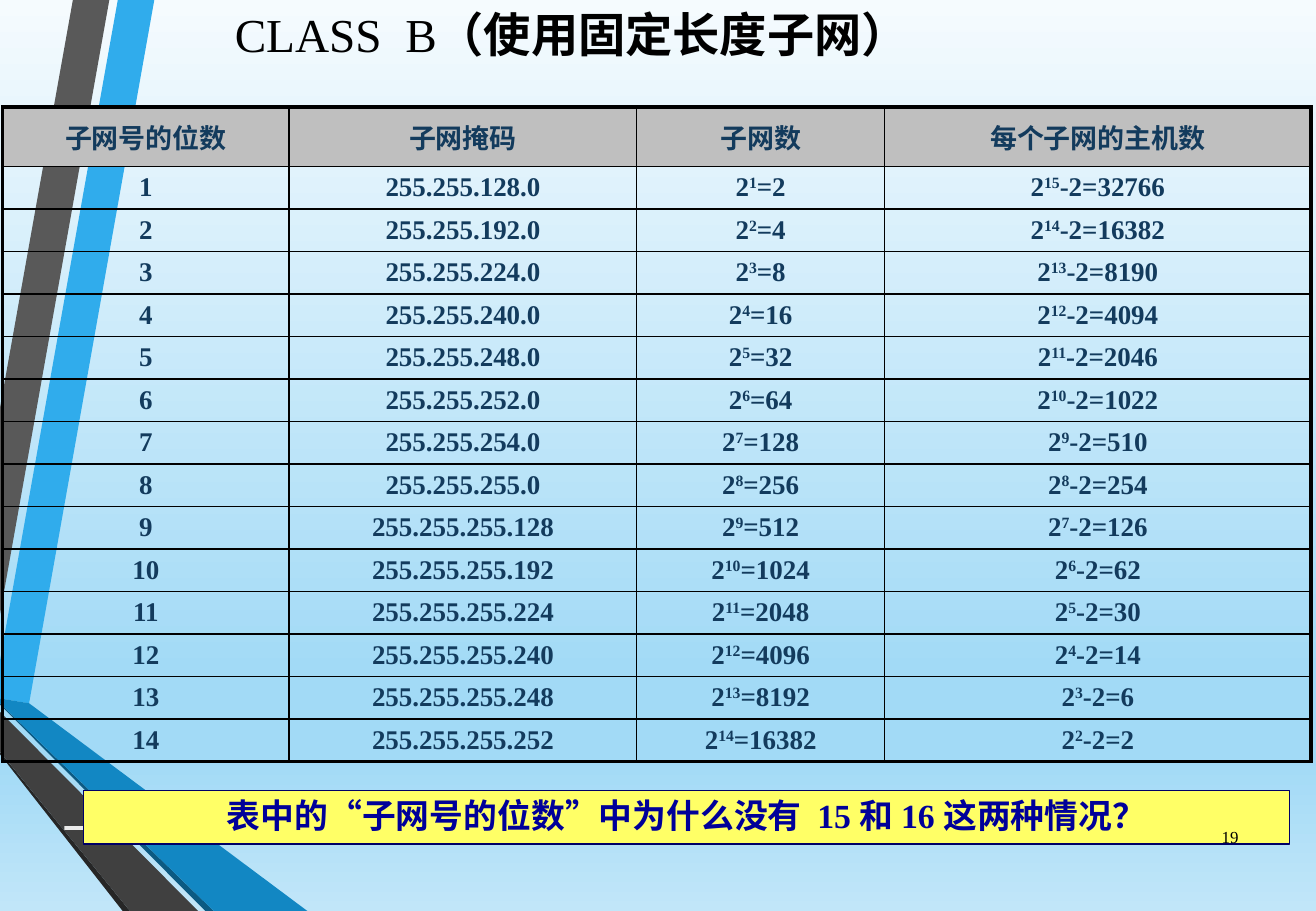
"""Build the slide on fixed-length subnetting of a class B network."""
from typing import NamedTuple

from lxml import etree
from pptx import Presentation
from pptx.dml.color import RGBColor
from pptx.enum import shapes, text
from pptx.oxml import ns
from pptx.util import Inches, Pt

LATIN = "Times New Roman"
CJK = "Noto Sans CJK SC"
BLACK = RGBColor(0x00, 0x00, 0x00)
NAVY = RGBColor(0x13, 0x3B, 0x5D)
GREY = RGBColor(0xBF, 0xBF, 0xBF)
YELLOW = RGBColor(0xFF, 0xFF, 0x66)
BANNER_LINE = RGBColor(0x00, 0x00, 0x66)
BANNER_TEXT = RGBColor(0x00, 0x00, 0x99)
SKY = RGBColor(0x30, 0xAC, 0xEC)
SLATE = RGBColor(0x59, 0x59, 0x59)
COAL = RGBColor(0x26, 0x26, 0x26)
DEEP_BLUE = RGBColor(0x0C, 0x5A, 0x82)
BLUE = RGBColor(0x12, 0x87, 0xC3)
CHARCOAL = RGBColor(0x40, 0x40, 0x40)
PALE = RGBColor(0xEB, 0xEB, 0xEB)
WHITE = RGBColor(0xFF, 0xFF, 0xFF)
BACKGROUND_STOPS = [
    (0, RGBColor(0xF5, 0xFB, 0xFE)),
    (74, RGBColor(0xA2, 0xDA, 0xF6)),
    (83, RGBColor(0xA2, 0xDA, 0xF6)),
    (100, RGBColor(0xC1, 0xE6, 0xF9)),
]

HEADERS = ["子网号的位数", "子网掩码", "子网数", "每个子网的主机数"]
COLUMN_WIDTHS = [2.36, 2.86, 2.04, 3.51]
HEADER_HEIGHT, ROW_HEIGHT = 0.49, 0.35
MAX_BITS = 14
SUBNET_COUNTS = [2**bits for bits in range(1, MAX_BITS)] + [16382]
THICK, THIN = 2.25, 1


class Ribbon(NamedTuple):
    color: RGBColor
    points: list[tuple[float, float]]


class Run(NamedTuple):
    text: str
    bold: bool = True
    raised: bool = False


RIBBONS = [
    Ribbon(SKY, [(0, 5.44), (0, 5.75), (0.24, 5.79), (1.27, 0), (0.97, 0)]),
    Ribbon(SLATE, [(0.9, 0), (0.6, 0), (0, 3.36), (0, 5.06)]),
    Ribbon(COAL, [(0, 6.19), (0, 6.21), (1.01, 7.5), (1.07, 7.5)]),
    Ribbon(DEEP_BLUE, [(0, 5.79), (0, 5.8), (1.69, 7.5), (1.76, 7.5)]),
    Ribbon(BLUE, [(0, 5.79), (1.76, 7.5), (2.53, 7.5), (0.24, 5.79), (0, 5.75)]),
    Ribbon(CHARCOAL, [(0, 6.19), (1.07, 7.5), (1.63, 7.5), (0, 5.86)]),
]


def write_text(frame, runs: list[Run], *, size: float, color: RGBColor,
               font: str = LATIN, align=text.PP_ALIGN.CENTER,
               anchor=text.MSO_ANCHOR.MIDDLE, spacing: float = 1.0) -> None:
    """Fill a text frame with one formatted paragraph."""
    frame.word_wrap = True
    frame.vertical_anchor = anchor
    paragraph = frame.paragraphs[0]
    paragraph.alignment = align
    paragraph.line_spacing = spacing
    for item in runs:
        run = paragraph.add_run()
        run.text = item.text
        run.font.size = Pt(size)
        run.font.bold = item.bold
        run.font.name = font
        run.font.color.rgb = color
        properties = run.font._element
        east_asian = etree.SubElement(properties, ns.qn("a:ea"))
        east_asian.set("typeface", CJK)
        if item.raised:
            properties.set("baseline", "30000")


def place(shape, left: float, top: float, width: float, height: float) -> None:
    """Set the position and size of a shape in inches."""
    shape.left, shape.top = Inches(left), Inches(top)
    shape.width, shape.height = Inches(width), Inches(height)


def paint_background(slide) -> None:
    """Apply the vertical four-stop gradient to the slide."""
    fill = slide.background.fill
    fill.gradient()
    fill.gradient_angle = 270
    stops = fill._fill._gradFill.find(ns.qn("a:gsLst"))
    for stop in list(stops):
        stops.remove(stop)
    for position, color in BACKGROUND_STOPS:
        stop = etree.SubElement(stops, ns.qn("a:gs"), pos=str(position * 1000))
        etree.SubElement(stop, ns.qn("a:srgbClr"), val=str(color))


def draw_ribbon(slide, ribbon: Ribbon) -> None:
    """Draw one filled decorative ribbon."""
    points = [(Inches(x), Inches(y)) for x, y in ribbon.points]
    builder = slide.shapes.build_freeform(*points[0], scale=1.0)
    builder.add_line_segments(points[1:], close=True)
    shape = builder.convert_to_shape()
    shape.shadow.inherit = False
    shape.fill.solid()
    shape.fill.fore_color.rgb = ribbon.color
    shape.line.fill.background()


def add_rectangle(slide, left: float, top: float, width: float, height: float):
    """Add a rectangle without a shadow."""
    shape = slide.shapes.add_shape(
        shapes.MSO_SHAPE.RECTANGLE,
        Inches(left), Inches(top), Inches(width), Inches(height))
    shape.shadow.inherit = False
    return shape


def draw_rule(slide) -> None:
    """Draw the thin pale line near the foot of the slide."""
    rule = add_rectangle(slide, 0.53, 6.8, 9.75, 0.03)
    rule.fill.gradient()
    rule.fill.gradient_angle = 0
    for stop, color in zip(rule.fill.gradient_stops, (PALE, WHITE)):
        stop.color.rgb = color
    rule.line.fill.background()


def draw_banner(slide) -> None:
    """Draw the yellow question banner."""
    banner = add_rectangle(slide, 0.69, 6.51, 9.92, 0.44)
    banner.fill.solid()
    banner.fill.fore_color.rgb = YELLOW
    banner.line.color.rgb = BANNER_LINE
    banner.line.width = Pt(0.75)
    question = "表中的“子网号的位数”中为什么没有  15 和 16 这两种情况？"
    write_text(banner.text_frame, [Run(question)], size=20,
               color=BANNER_TEXT, spacing=0.9)


def set_borders(cell, widths: dict[str, float]) -> None:
    """Give a cell black borders of the given widths in points."""
    properties = cell._tc.get_or_add_tcPr()
    for side, width in widths.items():
        line = etree.SubElement(properties, ns.qn(f"a:ln{side}"), w=str(Pt(width)))
        fill = etree.SubElement(line, ns.qn("a:solidFill"))
        etree.SubElement(fill, ns.qn("a:srgbClr"), val=str(BLACK))


def subnet_row(bits: int) -> list[list[Run]]:
    """Return the cell runs for a number of subnet bits."""
    mask = 2**32 - 2 ** (16 - bits)
    dotted = ".".join(str(mask >> shift & 255) for shift in (24, 16, 8, 0))
    host_bits = 16 - bits
    return [
        [Run(str(bits))],
        [Run(dotted)],
        [Run("2"), Run(str(bits), raised=True), Run(f"={SUBNET_COUNTS[bits - 1]}")],
        [Run("2"), Run(str(host_bits), raised=True), Run(f"-2={2**host_bits - 2}")],
    ]


def draw_table(slide) -> None:
    """Draw the subnet table."""
    rows = [[[Run(header)] for header in HEADERS]]
    rows += [subnet_row(bits) for bits in range(1, MAX_BITS + 1)]
    height = HEADER_HEIGHT + MAX_BITS * ROW_HEIGHT
    table = slide.shapes.add_table(
        len(rows), len(HEADERS), Inches(0.02), Inches(0.88),
        Inches(sum(COLUMN_WIDTHS)), Inches(height)).table
    table.first_row = table.horz_banding = False
    for column, width in zip(table.columns, COLUMN_WIDTHS):
        column.width = Inches(width)
    last_row, last_column = len(rows) - 1, len(HEADERS) - 1
    for r, row in enumerate(rows):
        table.rows[r].height = Inches(ROW_HEIGHT if r else HEADER_HEIGHT)
        for c, runs in enumerate(row):
            cell = table.cell(r, c)
            cell.margin_left = cell.margin_right = Inches(0.07)
            cell.margin_top = cell.margin_bottom = 0
            cell.vertical_anchor = text.MSO_ANCHOR.MIDDLE
            write_text(cell.text_frame, runs, size=16, color=NAVY,
                       font=LATIN if r else CJK)
            set_borders(cell, {
                "L": THIN if c else THICK,
                "R": THICK if c == last_column else THIN,
                "T": THIN if r else THICK,
                "B": THICK if r == last_row else THIN,
            })
            if r:
                cell.fill.background()
            else:
                cell.fill.solid()
                cell.fill.fore_color.rgb = GREY
            cell.vertical_anchor = text.MSO_ANCHOR.MIDDLE


def main() -> None:
    """Assemble and save the presentation."""
    presentation = Presentation()
    presentation.slide_width, presentation.slide_height = Inches(10.83), Inches(7.5)
    slide = presentation.slides.add_slide(presentation.slide_layouts[5])
    paint_background(slide)
    for ribbon in RIBBONS:
        draw_ribbon(slide, ribbon)
    draw_rule(slide)
    title = slide.shapes.title
    place(title, 0.53, 0.05, 8.35, 0.57)
    write_text(title.text_frame, [Run("CLASS  B", bold=False), Run("（使用固定长度子网）")],
               size=28, color=BLACK, anchor=text.MSO_ANCHOR.TOP, spacing=0.9)
    title.text_frame.auto_size = text.MSO_AUTO_SIZE.NONE
    draw_banner(slide)
    number = slide.shapes.add_textbox(0, 0, 0, 0)
    place(number, 9.8, 6.69, 0.49, 0.4)
    write_text(number.text_frame, [Run("19", bold=False)], size=10, color=BLACK,
               align=text.PP_ALIGN.RIGHT)
    draw_table(slide)
    presentation.save("out.pptx")


if __name__ == "__main__":
    main()
